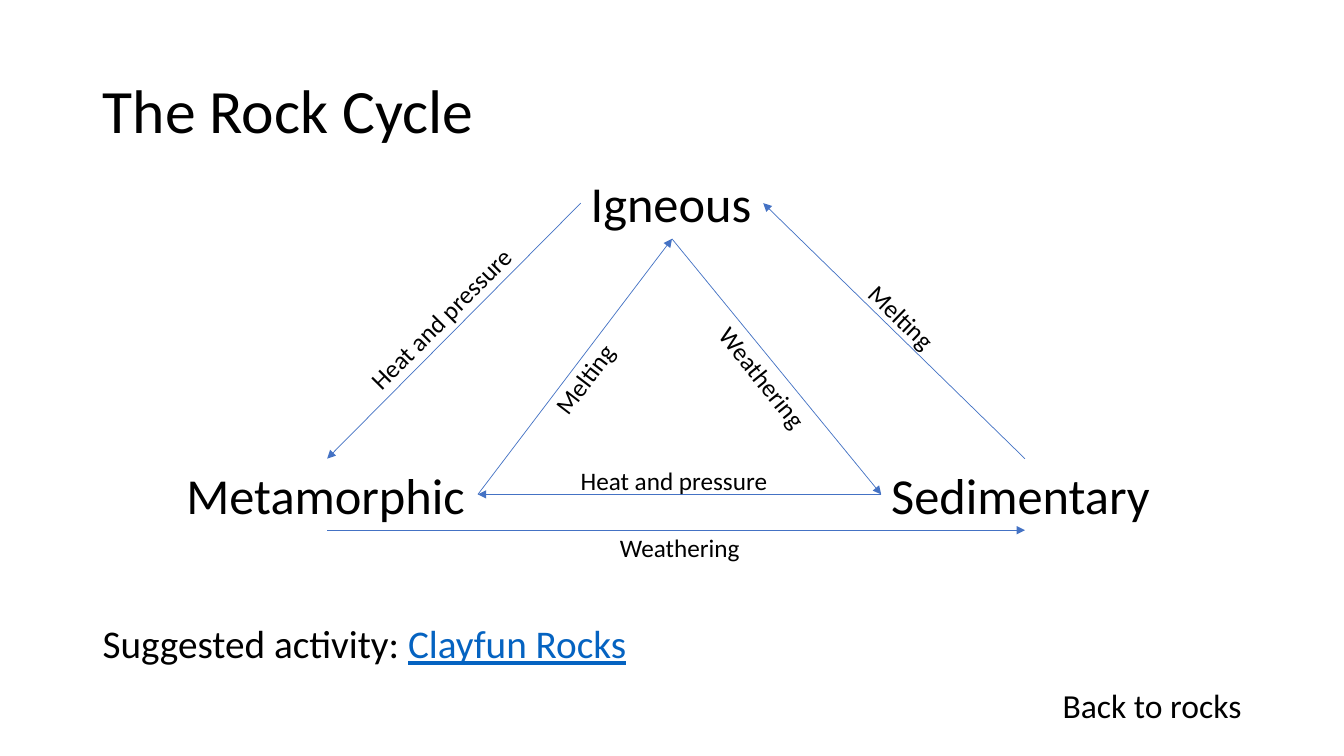
import dataclasses

import pptx
import pptx.dml.color
import pptx.enum.shapes
import pptx.enum.text
import pptx.oxml
import pptx.oxml.ns
import pptx.util

Inches = pptx.util.Inches
Pt = pptx.util.Pt
RGB = pptx.dml.color.RGBColor
Anchor = pptx.enum.text.MSO_ANCHOR
Align = pptx.enum.text.PP_ALIGN
Fit = pptx.enum.text.MSO_AUTO_SIZE
TOP, LEFT, BOTTOM, RIGHT = range(4)


@dataclasses.dataclass(frozen=True)
class Theme:
    font: str = "Calibri"
    ink: RGB = RGB(0, 0, 0)
    link: RGB = RGB(0x05, 0x63, 0xC1)
    arrow: RGB = RGB(0x44, 0x72, 0xC4)
    title: int = 44
    rock: int = 36
    body: int = 28
    back: int = 24
    label: int = 18
    line: float = 0.5


THEME = Theme()

# name: left, top, width, wrap
ROCKS = {
    "Igneous": (5.76, 1.66, 1.81, False),
    "Sedimentary": (8.74, 4.55, 2.85, True),
    "Metamorphic": (1.75, 4.55, 2.99, False),
}

# start rock, its side, end rock, its side
ARROWS = [
    ("Igneous", BOTTOM, "Sedimentary", LEFT),
    ("Metamorphic", RIGHT, "Igneous", BOTTOM),
    ("Sedimentary", LEFT, "Metamorphic", RIGHT),
    ("Sedimentary", TOP, "Igneous", RIGHT),
    ("Igneous", LEFT, "Metamorphic", TOP),
    ("Metamorphic", BOTTOM, "Sedimentary", BOTTOM),
]

WIDTHS = {"Weathering": 1.4, "Heat and pressure": 2.08, "Melting": 1}

# text, left, top, angle
LABELS = [
    ("Weathering", 6.87, 3.55, 51.2),
    ("Weathering", 6.05, 5.23, 0),
    ("Heat and pressure", 5.66, 4.57, 0),
    ("Heat and pressure", 3.34, 2.95, 314.9),
    ("Melting", 8.45, 2.95, 44.1),
    ("Melting", 5.3, 3.55, 307.4),
]


def assign(item, values):
    for name, value in values.items():
        setattr(item, name, value)


def add_run(para, text, size, color=THEME.ink, **extra):
    run = para.add_run()
    run.text = text
    assign(run.font, {"name": THEME.font, "size": Pt(size), **extra})
    run.font.color.rgb = color


def add_text(slide, text, place, size, wrap=False, angle=0):
    box = slide.shapes.add_textbox(*map(Inches, place))
    box.rotation = angle
    assign(box.text_frame, {"word_wrap": wrap, "auto_size": Fit.SHAPE_TO_FIT_TEXT})
    add_run(box.text_frame.paragraphs[0], text, size)
    return box


def add_title(slide, text):
    title = slide.shapes.title
    assign(title, {"left": Inches(0.92), "top": Inches(0.4),
                   "width": Inches(11.5), "height": Inches(1.45)})
    assign(title.text_frame, {"vertical_anchor": Anchor.MIDDLE,
                              "auto_size": Fit.NONE, "word_wrap": True})
    para = title.text_frame.paragraphs[0]
    assign(para, {"alignment": Align.LEFT, "line_spacing": 0.9})
    add_run(para, text, THEME.title)


def add_task(slide):
    """Add the suggested activity, its name styled as a link."""
    box = add_text(slide, "Suggested activity: ", (0.92, 6.15, 11.5, 0.61),
                   THEME.body, wrap=True)
    box.text_frame.auto_size = Fit.NONE
    para = box.text_frame.paragraphs[0]
    assign(para, {"line_spacing": 0.9, "space_before": Pt(10)})
    add_run(para, "Clayfun Rocks", THEME.body, THEME.link, underline=True)


def add_arrow(slide, start, side, end, goal):
    kind = pptx.enum.shapes.MSO_CONNECTOR.STRAIGHT
    arrow = slide.shapes.add_connector(kind, 0, 0, 0, 0)
    arrow.begin_connect(start, side)
    arrow.end_connect(end, goal)
    arrow.line.color.rgb = THEME.arrow
    arrow.line.width = Pt(THEME.line)
    props = arrow.line._get_or_add_ln()
    space = pptx.oxml.ns.nsdecls("a")
    props.append(pptx.oxml.parse_xml(f'<a:tailEnd {space} type="triangle"/>'))
    props.addnext(pptx.oxml.parse_xml(f"<a:effectLst {space}/>"))


def main():
    deck = pptx.Presentation()
    assign(deck, {"slide_width": Inches(13.33), "slide_height": Inches(7.5)})
    slide = deck.slides.add_slide(deck.slide_layouts.get_by_name("Title Only"))
    add_title(slide, "The Rock Cycle")
    add_task(slide)
    add_text(slide, "Back to rocks", (10.44, 6.75, 1.98, 0.5), THEME.back, wrap=True)

    rocks = {}
    for name, (left, top, width, wrap) in ROCKS.items():
        rocks[name] = add_text(slide, name, (left, top, width, 0.71), THEME.rock, wrap)
    for start, side, end, goal in ARROWS:
        add_arrow(slide, rocks[start], side, rocks[end], goal)
    for text, left, top, angle in LABELS:
        add_text(slide, text, (left, top, WIDTHS[text], 0.4), THEME.label, angle=angle)

    deck.save("out.pptx")


if __name__ == "__main__":
    main()
